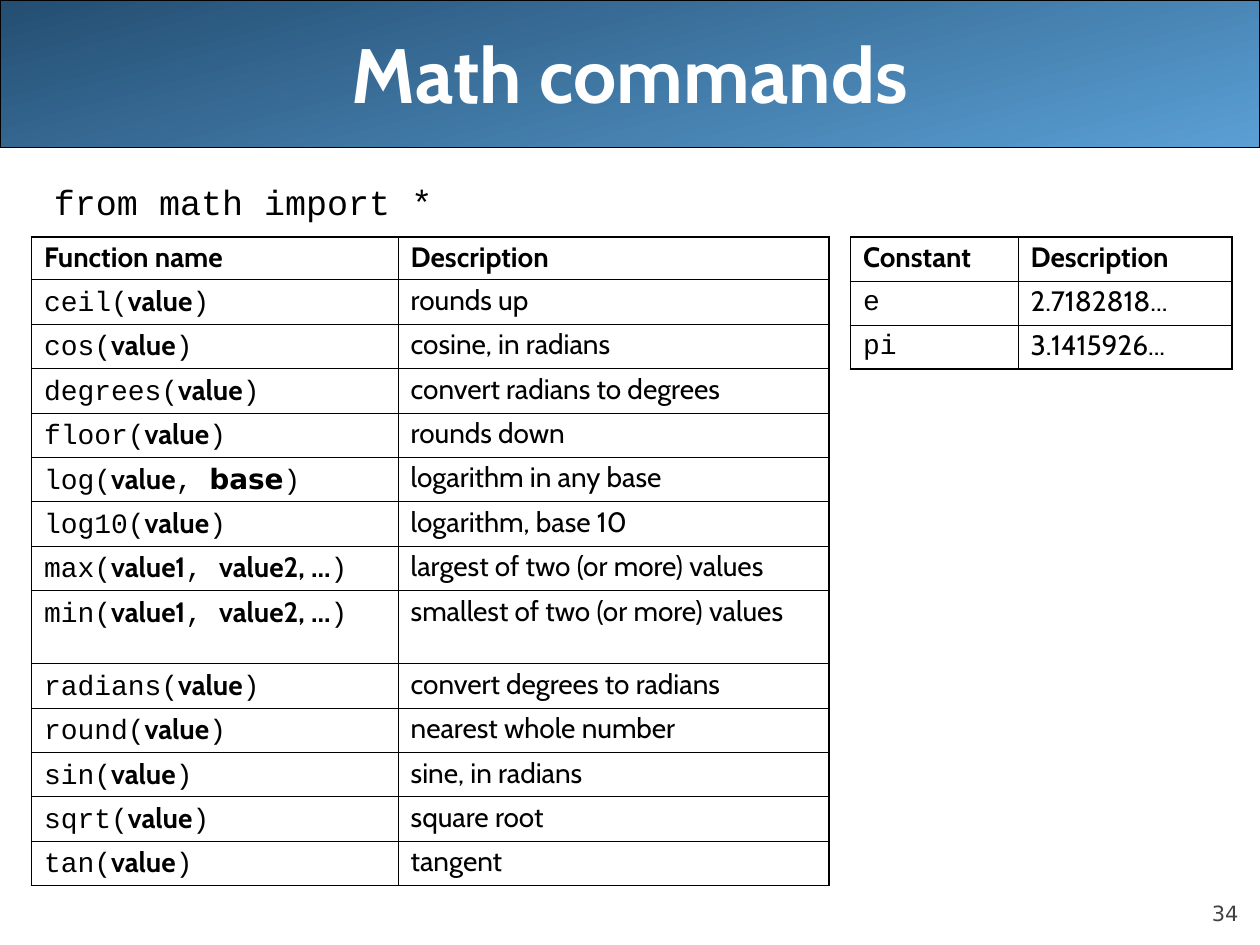
from lxml.etree import SubElement
from pptx import Presentation
from pptx.dml.color import RGBColor
from pptx.enum.shapes import MSO_SHAPE as Shape
from pptx.enum.text import MSO_ANCHOR as Anchor, PP_ALIGN as Align
from pptx.oxml.ns import qn
from pptx.util import Inches, Pt

COLORS = {
    "band dark": "244E72",
    "band light": "5A9FD4",
    "black": "000000",
    "white": "FFFFFF",
    "number": "424242",
}
BODY, CODE, SANS = "Cabin", "Courier New", "DejaVu Sans"

# In a signature, "|" separates code from the bold argument names.
FUNCTIONS = [
    ("Function name", "Description"),
    ("ceil(|value|)", "rounds up"),
    ("cos(|value|)", "cosine, in radians"),
    ("degrees(|value|)", "convert radians to degrees"),
    ("floor(|value|)", "rounds down"),
    ("log(|value|, |base|)", "logarithm in any base"),
    ("log10(|value|)", "logarithm, base 10"),
    ("max(|value1|, |value2, ...|)", "largest of two (or more) values"),
    ("min(|value1|, |value2, ...|)", "smallest of two (or more) values"),
    ("radians(|value|)", "convert degrees to radians"),
    ("round(|value|)", "nearest whole number"),
    ("sin(|value|)", "sine, in radians"),
    ("sqrt(|value|)", "square root"),
    ("tan(|value|)", "tangent"),
]
CONSTANTS = [
    ("Constant", "Description"),
    ("e", "2.7182818..."),
    ("pi", "3.1415926..."),
]


def rgb(name):
    return RGBColor.from_string(COLORS[name])


class SlideBuilder:
    outer_line, inner_line = Pt(1.08), Pt(0.45)
    cell_size = 16

    def __init__(self, presentation):
        self.slide = presentation.slides.add_slide(presentation.slide_layouts[6])

    def band(self, left, top, width, height):
        shape = self.slide.shapes.add_shape(
            Shape.RECTANGLE, Inches(left), Inches(top), Inches(width), Inches(height))
        shape.shadow.inherit = False
        shape.fill.gradient()
        shape.fill.gradient_angle = 360 - 75
        for stop, name in zip(shape.fill.gradient_stops, ("band dark", "band light")):
            stop.color.rgb = rgb(name)
        shape.line.color.rgb = rgb("black")
        shape.line.width = Pt(0.75)

    def style_font(self, font, name, size, color="black", bold=False):
        font.name, font.size, font.bold = name, Pt(size), bold
        font.color.rgb = rgb(color)

    def text(self, text, box, font, size, color="black", bold=False,
             align=Align.LEFT, anchor=Anchor.TOP, margin=None):
        shape = self.slide.shapes.add_textbox(*map(Inches, box))
        frame = shape.text_frame
        frame.word_wrap = True
        frame.vertical_anchor = anchor
        if margin is not None:
            frame.margin_left = frame.margin_right = Inches(margin)
            frame.margin_top = frame.margin_bottom = Inches(margin)
        paragraph = frame.paragraphs[0]
        paragraph.text = text
        paragraph.alignment = align
        paragraph.line_spacing = 0.9
        self.style_font(paragraph.font, font, size, color, bold)

    def cell_text(self, cell, text, font, bold):
        paragraph = cell.text_frame.paragraphs[0]
        paragraph.line_spacing = 0.9
        self.style_font(paragraph.font, font, self.cell_size, bold=bold)
        for index, part in enumerate(text.split("|")):
            run = paragraph.add_run()
            run.text = part
            if index % 2:
                name = SANS if part == "base" else BODY
                self.style_font(run.font, name, self.cell_size, bold=True)
            else:
                self.style_font(run.font, font, self.cell_size, bold=bold)

    def cell_borders(self, cell, outer_sides):
        """Draw all four borders, with the thicker line on the outer sides."""
        properties = cell._tc.get_or_add_tcPr()
        for position, side in enumerate("LRTB"):
            width = self.outer_line if side in outer_sides else self.inner_line
            line = SubElement(properties, qn(f"a:ln{side}"), w=str(int(width)))
            fill = SubElement(line, qn("a:solidFill"))
            SubElement(fill, qn("a:srgbClr"), val=COLORS["black"])
            properties.remove(line)
            properties.insert(position, line)

    def table(self, rows, left, top, column_widths, row_heights):
        table = self.slide.shapes.add_table(
            len(rows), len(column_widths), Inches(left), Inches(top),
            Inches(sum(column_widths)), Inches(sum(row_heights))).table
        table.first_row = table.horz_banding = False
        for column, width in zip(table.columns, column_widths):
            column.width = Inches(width)
        for row, height in zip(table.rows, row_heights):
            row.height = Inches(height)
        last_row = len(rows) - 1
        for row_index, texts in enumerate(rows):
            for column_index, text in enumerate(texts):
                cell = table.cell(row_index, column_index)
                cell.fill.solid()
                cell.fill.fore_color.rgb = rgb("white")
                header = row_index == 0
                font = CODE if column_index == 0 and not header else BODY
                self.cell_text(cell, text, font, header)
                sides = "LR"[column_index]
                sides += "T" if header else ""
                sides += "B" if row_index == last_row else ""
                self.cell_borders(cell, sides)


def main():
    presentation = Presentation()
    presentation.slide_width, presentation.slide_height = Inches(10), Inches(7.5)
    builder = SlideBuilder(presentation)
    builder.band(0, 0, 10, 1.17)
    builder.text("34", (9, 6.95, 0.83, 0.4), SANS, 12, "number",
                 align=Align.RIGHT, anchor=Anchor.BOTTOM, margin=0)
    builder.text("Math commands", (0.5, 0, 9, 1.25), BODY, 44, "white", True,
                 align=Align.CENTER, anchor=Anchor.MIDDLE)
    builder.text("from math import *", (0.33, 1.42, 9.5, 5.42), CODE, 20)

    table_height, header_height, tall_height = 5.15, 0.34, 0.58
    plain_height = (table_height - header_height - tall_height) / (len(FUNCTIONS) - 2)
    heights = [header_height] + [plain_height] * (len(FUNCTIONS) - 1)
    heights[8] = tall_height
    builder.table(FUNCTIONS, 0.25, 1.88, (2.91, 3.42), heights)
    builder.table(CONSTANTS, 6.75, 1.88, (1.33, 1.7), [0.35] * len(CONSTANTS))
    presentation.save("out.pptx")


if __name__ == "__main__":
    main()
